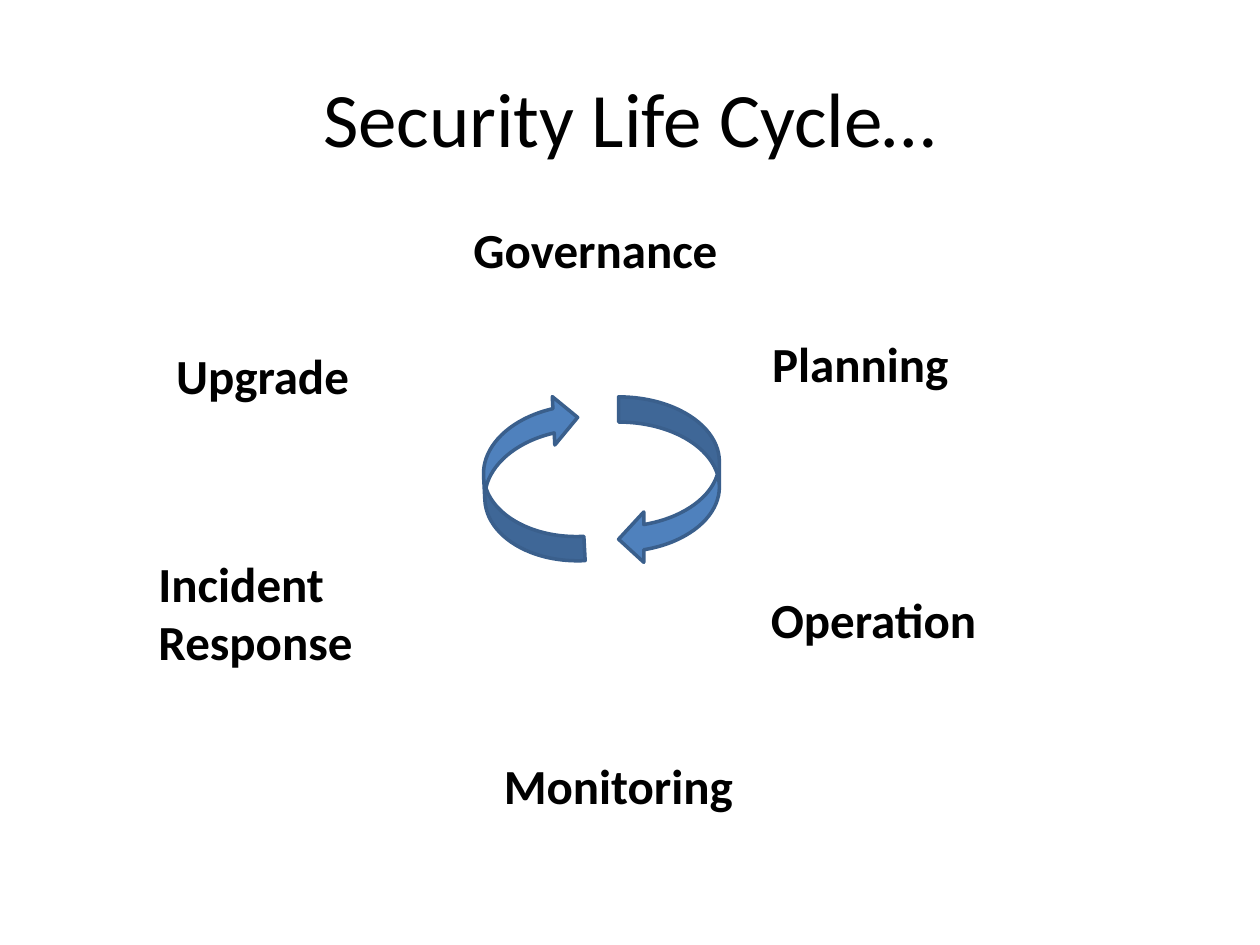
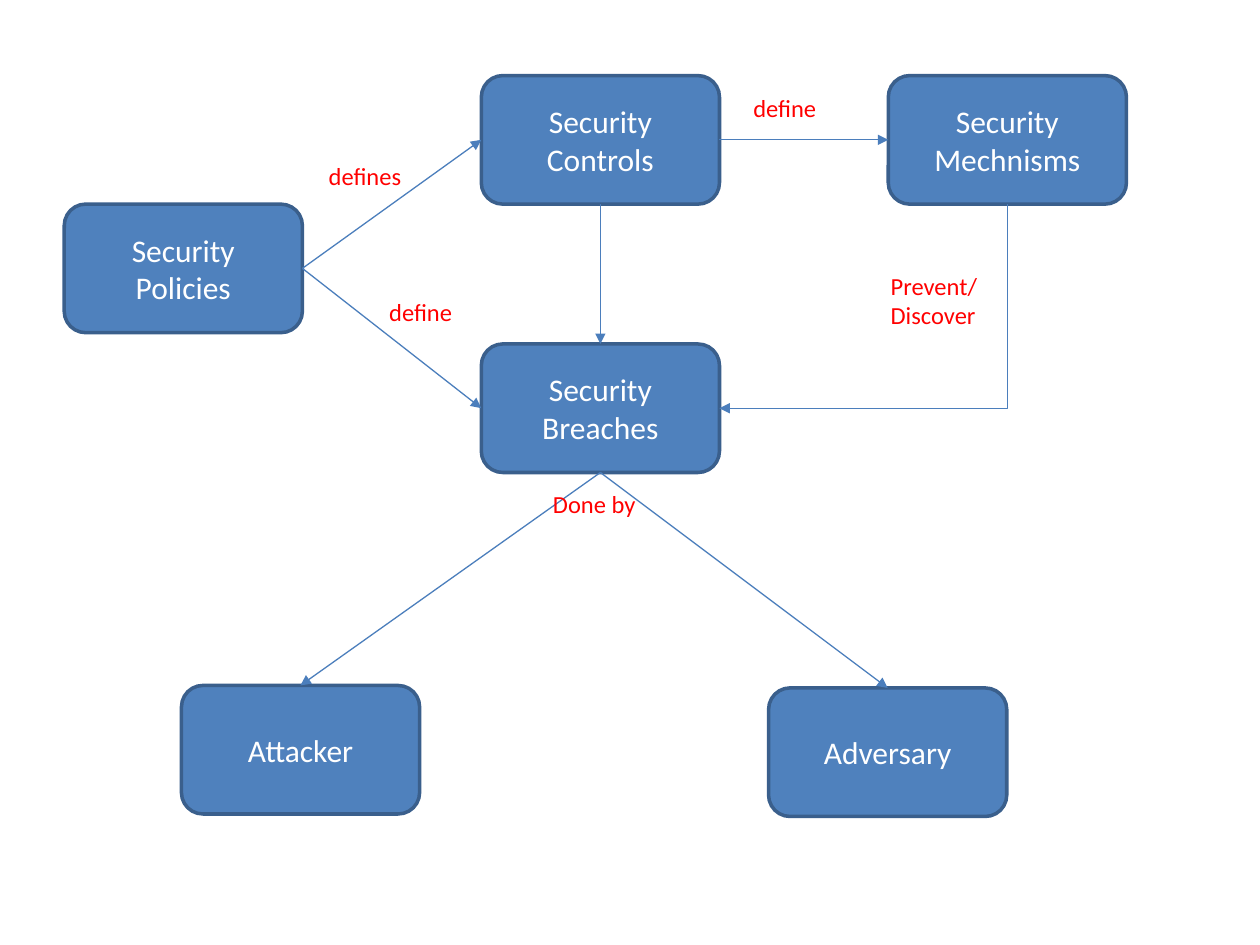
import pptx
import pptx.util
import pptx.dml.color
import pptx.enum.shapes
import pptx.enum.text
import pptx.oxml
import pptx.oxml.ns

HUES = {
    "page": "FFFFFF",
    "ink": "000000",
    "fill": "4F81BD",
    "edge": "3A5F8C",
    "link": "4B7EBC",
    "note": "FF0000",
}
FONT = "Calibri"
WIDE, HIGH = 10, 7.5
COLS, ROWS = 100, 75
BOX = (18.9, 10.2)
TOP, LEFT, BASE, RIGHT = range(4)
KINDS = pptx.enum.shapes.MSO_SHAPE
LINES = pptx.enum.shapes.MSO_CONNECTOR
ALIGN = pptx.enum.text.PP_ALIGN
ANCHOR = pptx.enum.text.MSO_ANCHOR


def col(num):
    return pptx.util.Inches(num * WIDE / COLS)


def row(num):
    return pptx.util.Inches(num * HIGH / ROWS)


def hue(name):
    return pptx.dml.color.RGBColor.from_string(HUES[name])


def area(left, top, width, height):
    return col(left), row(top), col(width), row(height)


def write(shape, text, size=18, color="ink", bold=False,
          align=ALIGN.LEFT, anchor=ANCHOR.TOP):
    frame = shape.text_frame
    frame.word_wrap = True
    frame.vertical_anchor = anchor
    frame.text = text
    for para in frame.paragraphs:
        para.alignment = align
        para.font.name = FONT
        para.font.size = pptx.util.Pt(size)
        para.font.bold = bold
        para.font.color.rgb = hue(color)


def label(slide, text, left, top, width, height, **form):
    write(slide.shapes.add_textbox(*area(left, top, width, height)), text, **form)


def solid(slide, kind, left, top, width, height):
    shape = slide.shapes.add_shape(kind, *area(left, top, width, height))
    shape.shadow.inherit = False
    shape.fill.solid()
    shape.fill.fore_color.rgb = hue("fill")
    shape.line.color.rgb = hue("edge")
    shape.line.width = pptx.util.Pt(2)
    return shape


def box(slide, text, left, top):
    shape = solid(slide, KINDS.ROUNDED_RECTANGLE, left, top, *BOX)
    write(shape, text, color="page", align=ALIGN.CENTER, anchor=ANCHOR.MIDDLE)
    return shape


def port(shape, side):
    across, down = {TOP: (1, 0), LEFT: (0, 1), BASE: (1, 2), RIGHT: (2, 1)}[side]
    return (shape.left + shape.width * across // 2,
            shape.top + shape.height * down // 2)


def style(line):
    line.line.color.rgb = hue("link")
    line.line.width = pptx.util.Pt(0.75)
    props = line.element.spPr
    tail = pptx.oxml.parse_xml(
        f'<a:tailEnd {pptx.oxml.ns.nsdecls("a")} type="triangle"/>')
    props.find(pptx.oxml.ns.qn("a:ln")).append(tail)
    props.append(pptx.oxml.parse_xml(
        f'<a:effectLst {pptx.oxml.ns.nsdecls("a")}/>'))


def join(slide, start, out, end, into):
    line = slide.shapes.add_connector(
        LINES.STRAIGHT, *port(start, out), *port(end, into))
    line.begin_connect(start, out)
    line.end_connect(end, into)
    style(line)


def bend(slide, start, end):
    x1, y1 = port(start, BASE)
    x2, y2 = port(end, RIGHT)
    mid_x, mid_y = (x1 + x2) // 2, (y1 + y2) // 2
    half_w, half_h = (y2 - y1) // 2, (x1 - x2) // 2
    line = slide.shapes.add_connector(
        LINES.ELBOW, mid_x - half_w, mid_y - half_h,
        mid_x + half_w, mid_y + half_h)
    props = line.element.spPr
    props.find(pptx.oxml.ns.qn("a:prstGeom")).set("prst", "bentConnector2")
    props.find(pptx.oxml.ns.qn("a:xfrm")).set("rot", str(90 * 60000))
    style(line)


def cycle(slide):
    label(slide, "Security Life Cycle…", 5, 3, 90, 12.5, size=44,
          align=ALIGN.CENTER, anchor=ANCHOR.MIDDLE)
    steps = [
        ("Governance", 36.6, 16.9),
        ("Planning", 60.3, 26),
        ("Operation", 60.2, 46.3),
        ("Monitoring", 39, 59.5),
        ("Incident Response", 11.6, 43.4),
        ("Upgrade", 13, 26.9),
    ]
    for text, left, top in steps:
        label(slide, text, left, top, 30.7, 5.7, size=28, bold=True)
    solid(slide, KINDS.CURVED_LEFT_ARROW, 49.1, 31.5, 8, 13.3)
    back = solid(slide, KINDS.CURVED_RIGHT_ARROW, 38.4, 31.4, 7.7, 13.3)
    back.rotation = 177
    back.element.spPr.find(pptx.oxml.ns.qn("a:xfrm")).set("flipH", "1")


def model(slide):
    rules = box(slide, "Security Policies", 5.1, 16.2)
    guards = box(slide, "Security Controls", 38.2, 6)
    tools = box(slide, "Security Mechnisms", 70.5, 6)
    gaps = box(slide, "Security Breaches", 38.2, 27.3)
    thief = box(slide, "Attacker", 14.4, 54.4)
    rival = box(slide, "Adversary", 61, 54.6)

    for start, out, end, into in [
        (rules, RIGHT, guards, LEFT),
        (rules, RIGHT, gaps, LEFT),
        (guards, RIGHT, tools, LEFT),
        (guards, BASE, gaps, TOP),
        (gaps, BASE, thief, TOP),
        (gaps, BASE, rival, TOP),
    ]:
        join(slide, start, out, end, into)
    bend(slide, tools, gaps)

    for text, left, top in [
        ("defines", 25.1, 12.3),
        ("define", 58.8, 6.9),
        ("define", 29.9, 23.1),
        ("Prevent/\nDiscover", 69.7, 21),
        ("Done by", 42.9, 38.3),
    ]:
        tall = 3.4 + 2.3 * text.count("\n")
        label(slide, text, left, top, 11.8, tall, size=14, color="note")


def main():
    deck = pptx.Presentation()
    deck.slide_width = pptx.util.Inches(WIDE)
    deck.slide_height = pptx.util.Inches(HIGH)
    for draw in (cycle, model):
        slide = deck.slides.add_slide(deck.slide_layouts[6])
        slide.background.fill.solid()
        slide.background.fill.fore_color.rgb = hue("page")
        draw(slide)
    deck.save("out.pptx")


if __name__ == "__main__":
    main()
